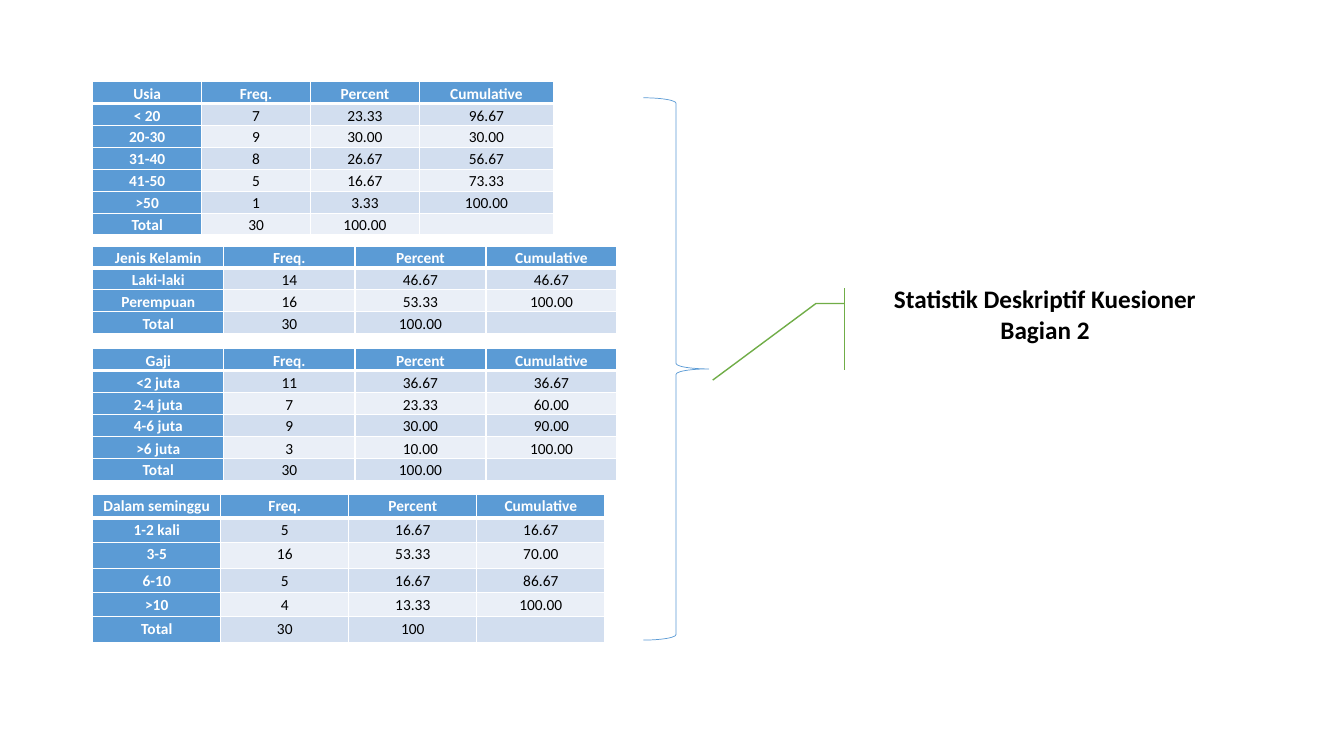
from lxml.etree import SubElement
from pptx import Presentation
from pptx.dml.color import RGBColor
from pptx.enum.shapes import MSO_SHAPE as Shape
from pptx.enum.text import MSO_ANCHOR as Anchor, PP_ALIGN as Align
from pptx.oxml.ns import qn
from pptx.util import Pt

WHITE = RGBColor(0xFF, 0xFF, 0xFF)
BLACK = RGBColor(0x00, 0x00, 0x00)
BLUE = RGBColor(0x5B, 0x9B, 0xD5)
GREEN = RGBColor(0x70, 0xAD, 0x47)
BANDS = (RGBColor(0xEA, 0xEF, 0xF7), RGBColor(0xD2, 0xDE, 0xEF))

HEADINGS = ("Freq.", "Percent", "Cumulative")
AGE = [
    ("Usia", *HEADINGS),
    ("< 20", "7", "23.33", "96.67"),
    ("20-30", "9", "30.00", "30.00"),
    ("31-40", "8", "26.67", "56.67"),
    ("41-50", "5", "16.67", "73.33"),
    (">50", "1", "3.33", "100.00"),
    ("Total", "30", "100.00", ""),
]
GENDER = [
    ("Jenis Kelamin", *HEADINGS),
    ("Laki-laki", "14", "46.67", "46.67"),
    ("Perempuan", "16", "53.33", "100.00"),
    ("Total", "30", "100.00", ""),
]
SALARY = [
    ("Gaji", *HEADINGS),
    ("<2 juta", "11", "36.67", "36.67"),
    ("2-4 juta", "7", "23.33", "60.00"),
    ("4-6 juta", "9", "30.00", "90.00"),
    (">6 juta", "3", "10.00", "100.00"),
    ("Total", "30", "100.00", ""),
]
WEEKLY = [
    ("Dalam seminggu", *HEADINGS),
    ("1-2 kali", "5", "16.67", "16.67"),
    ("3-5", "16", "53.33", "70.00"),
    ("6-10", "5", "16.67", "86.67"),
    (">10", "4", "13.33", "100.00"),
    ("Total", "30", "100", ""),
]


def px(length):
    return length * 9144


class SlideBuilder:
    """Draws styled elements on the current slide."""

    font_name = "Calibri"
    table_size = 11
    title_size = 18

    def __init__(self, deck):
        self.page = deck.slides.add_slide(deck.slide_layouts[6])

    def style(self, para, size, color, bold):
        para.alignment = Align.CENTER
        para.font.name = self.font_name
        para.font.size = Pt(size)
        para.font.color.rgb = color
        para.font.bold = bold

    def border(self, cell, side, points):
        properties = cell._tc.get_or_add_tcPr()
        line = SubElement(properties, qn(f"a:ln{side}"), w=str(Pt(points)))
        fill = SubElement(line, qn("a:solidFill"))
        SubElement(fill, qn("a:srgbClr"), val=str(WHITE))

    def cell(self, cell, text, row, column):
        heading = row == 0 or column == 0
        cell.margin_left = cell.margin_right = px(7)
        cell.margin_top = cell.margin_bottom = 0
        for side in "LRTB":
            thick = (row, side) in ((0, "B"), (1, "T"))
            self.border(cell, side, 3 if thick else 1)
        cell.fill.solid()
        cell.fill.fore_color.rgb = BLUE if heading else BANDS[row % 2]
        cell.text = text
        para = cell.text_frame.paragraphs[0]
        para.line_spacing = 1.15
        self.style(para, self.table_size, WHITE if heading else BLACK, heading)
        if not text:
            SubElement(para._p, qn("a:endParaRPr"), sz=str(self.table_size * 100))

    def table(self, top, records, widths, heights):
        frame = self.page.shapes.add_table(
            len(records), len(widths), px(92), px(top), px(sum(widths)), px(sum(heights)))
        table = frame.table
        table.first_col = True
        for column, width in zip(table.columns, widths):
            column.width = px(width)
        for row, height in zip(table.rows, heights):
            row.height = px(height)
        for row, record in enumerate(records):
            for column, text in enumerate(record):
                self.cell(table.cell(row, column), text, row, column)

    def shape(self, kind, left, top, width, height, color, weight):
        shape = self.page.shapes.add_shape(kind, px(left), px(top), px(width), px(height))
        shape.shadow.inherit = False
        shape.fill.background()
        shape.line.color.rgb = color
        shape.line.width = Pt(weight)
        return shape

    def brace(self, left, top, width, height):
        self.shape(Shape.RIGHT_BRACE, left, top, width, height, BLUE, 0.5)

    def callout(self, left, top, width, height, text):
        box = self.shape(
            Shape.LINE_CALLOUT_2_ACCENT_BAR, left, top, width, height, GREEN, 1)
        box.fill.solid()
        box.fill.fore_color.rgb = WHITE
        frame = box.text_frame
        frame.word_wrap = True
        frame.vertical_anchor = Anchor.MIDDLE
        frame.margin_top, frame.margin_bottom = 0, px(30)
        frame.text = text
        self.style(frame.paragraphs[0], self.title_size, BLACK, True)


def main():
    deck = Presentation()
    deck.slide_width, deck.slide_height = px(1333), px(750)
    builder = SlideBuilder(deck)
    builder.table(81, AGE, [108] * 3 + [133], [20] * 3 + [22] + [20] * 3)
    builder.table(244, GENDER, [130] * 4, [21] * 3 + [22])
    builder.table(346, SALARY, [130] * 4, [21] * 3 + [22] + [21] * 2)
    builder.table(490, WEEKLY, [127] * 4, [24, 24, 26] * 2)
    builder.brace(638, 97, 65, 538)
    builder.callout(866, 286, 341, 81, "Statistik Deskriptif Kuesioner Bagian 2")
    deck.save("out.pptx")


if __name__ == "__main__":
    main()
